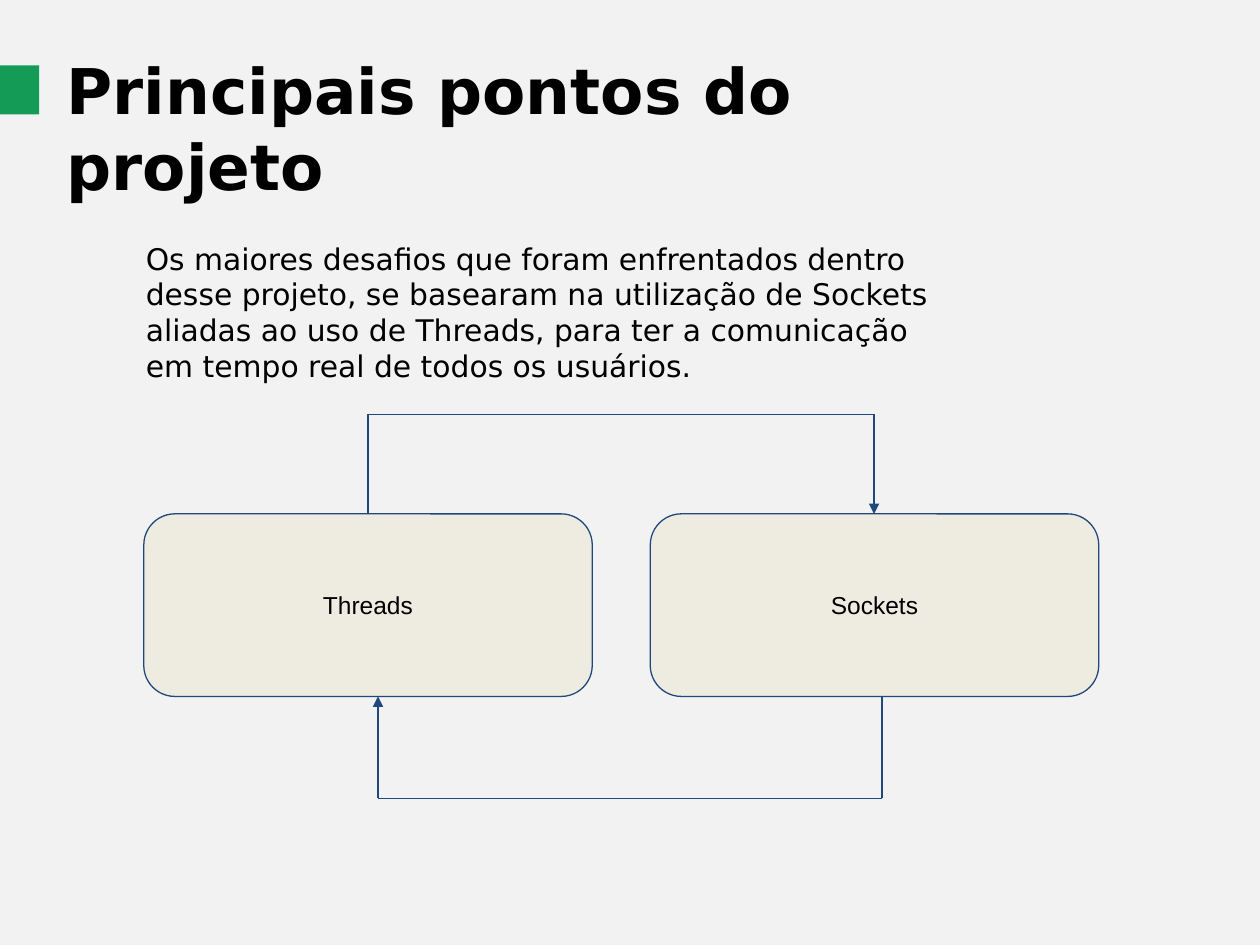
from dataclasses import dataclass

from lxml import etree
from pptx import Presentation
from pptx.dml.color import RGBColor
from pptx.enum.shapes import MSO_CONNECTOR, MSO_SHAPE
from pptx.enum.text import MSO_ANCHOR, MSO_AUTO_SIZE, PP_ALIGN
from pptx.oxml.ns import qn
from pptx.util import Cm, Pt

RECT = MSO_SHAPE.RECTANGLE
ROUND = MSO_SHAPE.ROUNDED_RECTANGLE
LINE = MSO_CONNECTOR.STRAIGHT
TOP, MIDDLE = MSO_ANCHOR.TOP, MSO_ANCHOR.MIDDLE
LEFT, CENTER = PP_ALIGN.LEFT, PP_ALIGN.CENTER
GROW = MSO_AUTO_SIZE.SHAPE_TO_FIT_TEXT

COLORS = {
    "back": "F2F2F2",
    "text": "000000",
    "mark": "149B55",
    "box": "EEECE1",
    "line": "1F497D",
}
SANS, ARIAL = "DejaVu Sans", "Arial"
BOX_TOP, BOX_WIDE, BOX_HIGH = 10.36, 9.04, 3.68


@dataclass
class Box:
    label: str
    left: float


@dataclass
class Route:
    """Three-sided path: out from one box, across, and back to the other."""
    start: float
    end: float
    edge: float
    rail: float


BOXES = [Box("Threads", 2.9), Box("Sockets", 13.11)]
ROUTES = [
    Route(7.42, 17.62, BOX_TOP, 8.35),
    Route(17.78, 7.62, BOX_TOP + BOX_HIGH, 16.09),
]


def color(name: str) -> RGBColor:
    return RGBColor.from_string(COLORS[name])


def place(shape, left: float, top: float, wide: float, high: float) -> None:
    shape.left, shape.top = Cm(left), Cm(top)
    shape.width, shape.height = Cm(wide), Cm(high)


def write(shape, text: str, size: int, font: str, bold: bool = False,
          align=LEFT, anchor=TOP) -> None:
    frame = shape.text_frame
    frame.text = text
    frame.word_wrap = True
    frame.vertical_anchor = anchor
    para = frame.paragraphs[0]
    para.alignment = align
    face = para.runs[0].font
    face.size, face.name, face.bold = Pt(size), font, bold
    face.color.rgb = color("text")


def draw_shape(slide, kind, area: tuple, fill: str):
    shape = slide.shapes.add_shape(kind, *map(Cm, area))
    shape.shadow.inherit = False
    shape.fill.solid()
    shape.fill.fore_color.rgb = color(fill)
    shape.line.fill.background()
    return shape


def draw_box(slide, box: Box) -> None:
    area = (box.left, BOX_TOP, BOX_WIDE, BOX_HIGH)
    shape = draw_shape(slide, ROUND, area, "box")
    shape.adjustments[0] = 0.17
    shape.line.color.rgb = color("line")
    shape.line.width = Pt(0.75)
    write(shape, box.label, 14, ARIAL, align=CENTER, anchor=MIDDLE)


def draw_line(slide, start: tuple, end: tuple, arrow: bool) -> None:
    link = slide.shapes.add_connector(LINE, *map(Cm, start + end))
    link.line.color.rgb = color("line")
    link.line.width = Pt(0.75)
    props = link.element.spPr
    if arrow:
        tail = etree.SubElement(props.find(qn("a:ln")), qn("a:tailEnd"))
        tail.set("type", "triangle")
    etree.SubElement(props, qn("a:effectLst"))


def draw_route(slide, route: Route) -> None:
    points = [
        (route.start, route.edge),
        (route.start, route.rail),
        (route.end, route.rail),
        (route.end, route.edge),
    ]
    for step, (start, end) in enumerate(zip(points, points[1:])):
        draw_line(slide, start, end, arrow=step == 2)


def main() -> None:
    deck = Presentation()
    deck.slide_width, deck.slide_height = Cm(25.4), Cm(19.05)
    slide = deck.slides.add_slide(deck.slide_layouts[5])
    slide.background.fill.solid()
    slide.background.fill.fore_color.rgb = color("back")

    # Title and its green marker
    title = slide.shapes.title
    place(title, 1.09, 0.91, 17.2, 3.33)
    write(title, "Principais pontos do projeto", 36, SANS, bold=True)
    title.text_frame.auto_size = GROW
    draw_shape(slide, RECT, (-0.1, 1.32, 0.89, 0.99), "mark")

    # Introduction
    intro = slide.shapes.add_textbox(Cm(2.69), Cm(4.72), Cm(16.41), Cm(3.18))
    write(intro, "Os maiores desafios que foram enfrentados dentro desse projeto, "
          "se basearam na utilização de Sockets aliadas ao uso de Threads, "
          "para ter a comunicação em tempo real de todos os usuários.", 17, SANS)
    intro.text_frame.auto_size = GROW

    # Boxes and the loop between them
    for box in BOXES:
        draw_box(slide, box)
    for route in ROUTES:
        draw_route(slide, route)

    deck.save("out.pptx")


if __name__ == "__main__":
    main()
